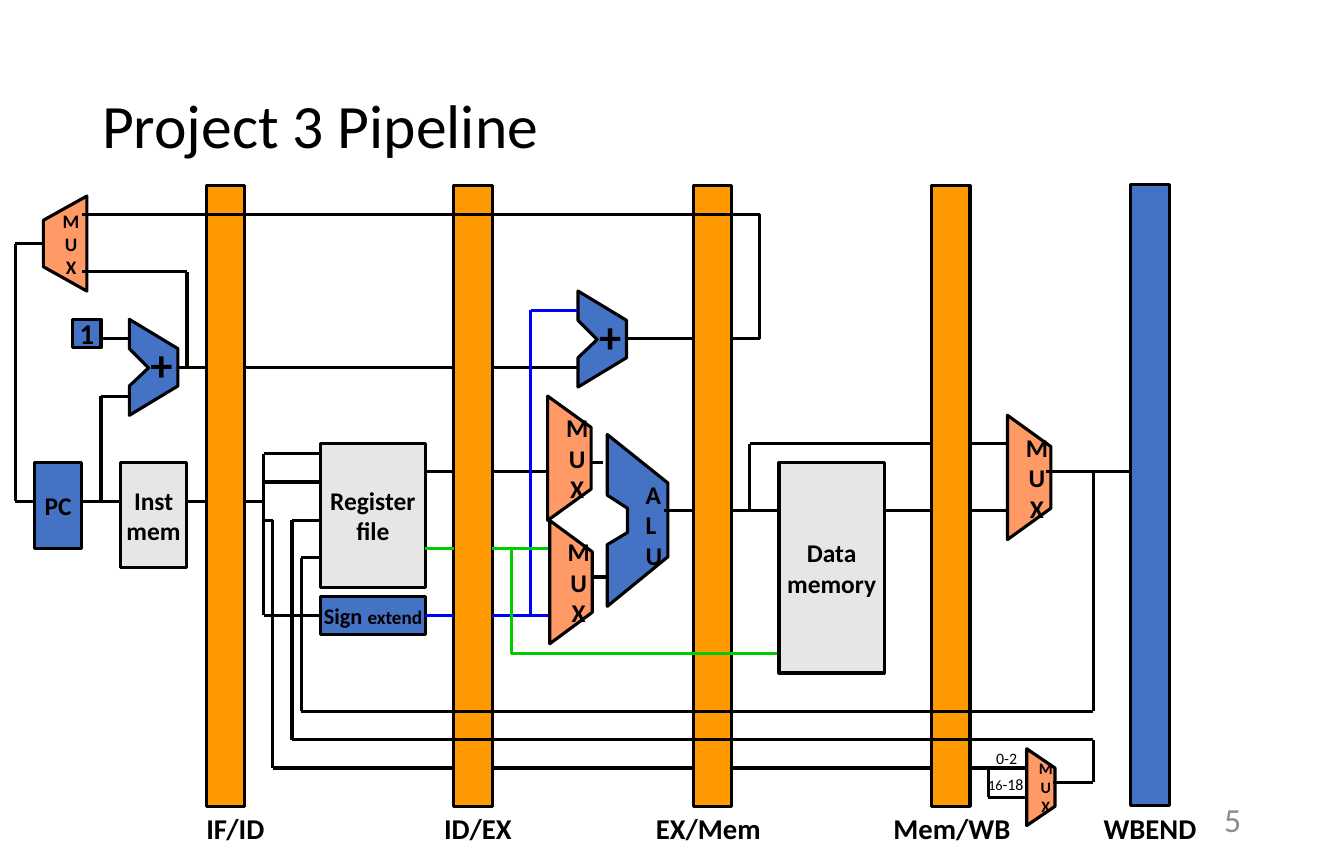
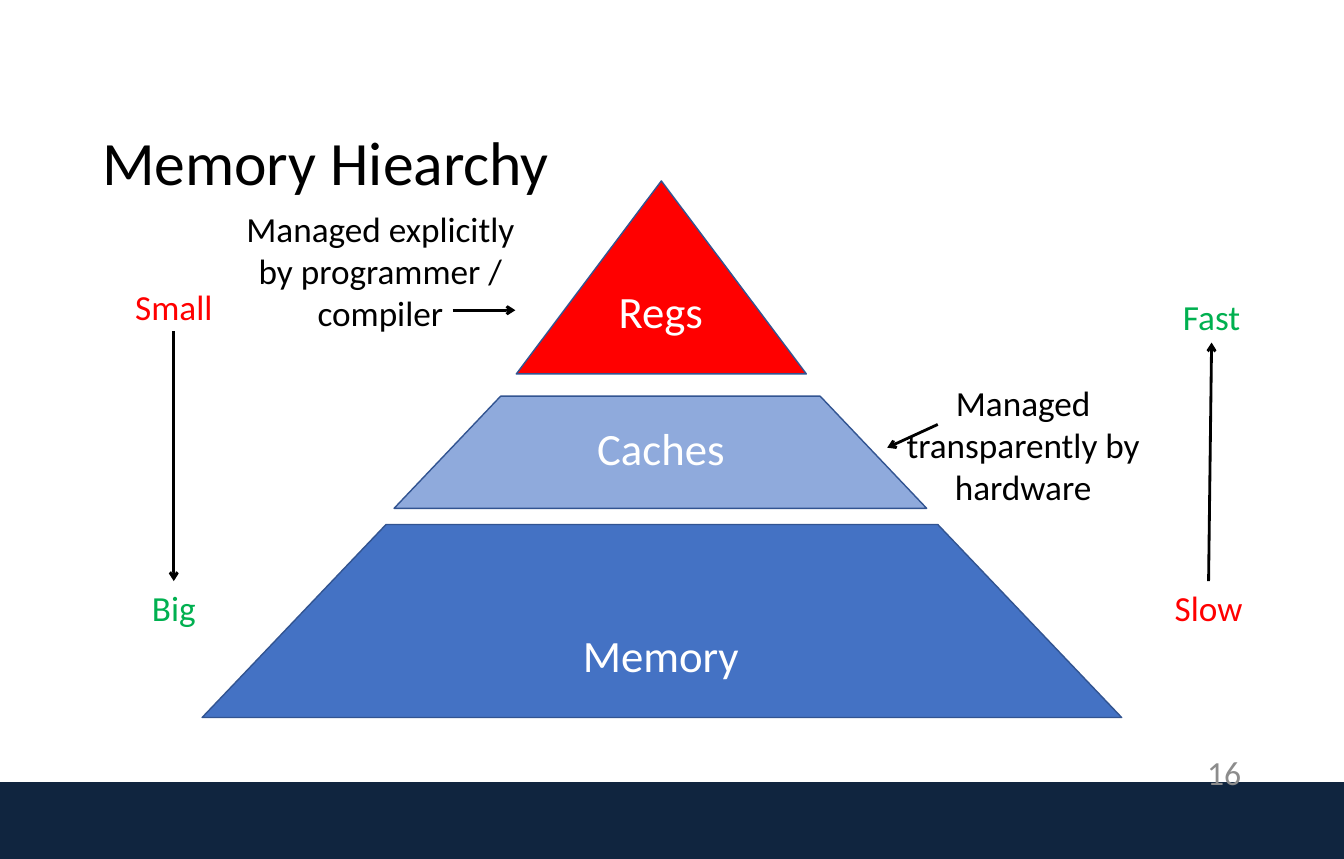
from dataclasses import dataclass
from itertools import pairwise
from typing import Any

from lxml import etree
from pptx import Presentation
from pptx import util as u
from pptx.dml.color import RGBColor
from pptx.enum import shapes, text
from pptx.oxml.ns import qn

PX = 9144  # EMU in one px; 100 px make an inch
FONT = "Calibri"
HUE = {
    "black": "000000", "white": "FFFFFF", "gray": "8C8C8C", "pale": "E7E6E6",
    "blue": "4472C4", "sky": "8FAADC", "rim": "325491", "navy": "10253F",
    "orange": "FF9900", "peach": "FF9966", "red": "FF0000", "green": "00B050",
    "imm": "0000FF", "reg": "00CC00",
}
KIND = shapes.MSO_SHAPE
LEFT, MID, RIGHT = text.PP_ALIGN.LEFT, text.PP_ALIGN.CENTER, text.PP_ALIGN.RIGHT
TOP, HALF = text.MSO_ANCHOR.TOP, text.MSO_ANCHOR.MIDDLE


def px(*vals):
    return [u.Emu(round(v * PX)) for v in vals]


def rgb(name):
    return RGBColor.from_string(HUE[name])


def style(item, **vals):
    for key, val in vals.items():
        setattr(item, key, val)


def write(frame, lines, size, color="black", bold=False, align=MID,
          anchor=HALF, wrap=False, gap=None):
    """Fill a frame; a line is a string or a list of (string, size) runs."""
    style(frame, word_wrap=wrap, vertical_anchor=anchor)
    for i, line in enumerate(lines):
        para = frame.add_paragraph() if i else frame.paragraphs[0]
        style(para, alignment=align, line_spacing=gap)
        for words, pts in [(line, size)] if isinstance(line, str) else line:
            run = para.add_run()
            run.text = words
            style(run.font, name=FONT, size=u.Pt(pts), bold=bold)
            run.font.color.rgb = rgb(color)


def paint(shape, fill, edge="black", width=2.25):
    shape.shadow.inherit = False
    shape.fill.solid()
    shape.fill.fore_color.rgb = rgb(fill)
    if edge:
        shape.line.color.rgb = rgb(edge)
        shape.line.width = u.Pt(width)
    else:
        shape.line.fill.background()
    return shape


@dataclass
class Pane:
    """A region of a slide; every place is counted from its corner."""
    tree: Any
    x: int = 0
    y: int = 0

    def shape(self, kind, box, fill, **edge):
        x, y, w, h = box
        item = self.tree.add_shape(kind, *px(self.x + x, self.y + y, w, h))
        return paint(item, fill, **edge)

    def block(self, box, fill, lines=(), size=18.1):
        item = self.shape(KIND.RECTANGLE, box, fill)
        if lines:
            write(item.text_frame, lines, size, bold=True)
        return item

    def poly(self, pts, fill):
        pts = [(self.x + x, self.y + y) for x, y in pts]
        pen = self.tree.build_freeform(*pts[0], scale=PX)
        pen.add_line_segments(pts[1:], close=True)
        return paint(pen.convert_to_shape(), fill)

    def label(self, box, lines, size, **look):
        x, y, w, h = box
        item = self.tree.add_textbox(*px(self.x + x, self.y + y, w, h))
        write(item.text_frame, lines, size, **look)

    def wire(self, *pts, color="black", width=2.25, arrow=False):
        """Join the points by straight lines and return these."""
        lines = []
        for (a, b), (c, d) in pairwise(pts):
            line = self.tree.add_connector(
                shapes.MSO_CONNECTOR.STRAIGHT,
                *px(self.x + a, self.y + b, self.x + c, self.y + d))
            line.line.color.rgb = rgb(color)
            line.line.width = u.Pt(width)
            if arrow:
                ln = line.line._get_or_add_ln()
                etree.SubElement(ln, qn("a:tailEnd"), type="arrow")
            etree.SubElement(line._element.spPr, qn("a:effectLst"))
            lines.append(line)
        return lines

    def wires(self, *runs, **look):
        for run in runs:
            self.wire(*run, **look)

    def sub(self, x, y):
        return Pane(self.tree, self.x + x, self.y + y)

    def group(self, x, y):
        return Pane(self.tree.add_group_shape().shapes, self.x + x, self.y + y)


def start(deck, title, box, number, low):
    """Add a slide with its title and number."""
    slide = deck.slides.add_slide(deck.slide_layouts[5])
    head = slide.shapes.title
    for key, val in zip(("left", "top", "width", "height"), px(*box)):
        setattr(head, key, val)
    write(head.text_frame, [title], 43.9, align=LEFT, wrap=True, gap=0.9)
    pane = Pane(slide.shapes)
    pane.label((939, low, 299, 42), [number], 24, color="gray", align=RIGHT,
               wrap=True)
    return pane


def mux(pane, box, size, flip=False):
    """A selector with its wide side on the left, or on the right if flipped."""
    x, y, w, h = box
    wide, slim = (x + w, x) if flip else (x, x + w)
    item = pane.poly([(wide, y), (slim, y + h / 4), (slim, y + h * 3 / 4),
                      (wide, y + h)], "peach")
    style(item.text_frame, margin_left=px(size * 0.85)[0], margin_right=0,
          margin_top=0, margin_bottom=0)
    write(item.text_frame, "MUX", size, bold=True)


def adder(pane):
    pane.poly([(0, 0), (48, 29), (48, 66), (0, 95), (0, 66), (19, 48),
               (0, 29)], "blue")
    pane.label((11, 13, 42, 64), "+", 31.7, bold=True, align=LEFT, anchor=TOP)


def alu(pane):
    pane.poly([(0, 0), (60, 48), (60, 121), (0, 170), (0, 109), (20, 97),
               (20, 73), (0, 60)], "blue")
    pane.label((28, 39, 37, 102), "ALU", 18.1, bold=True, align=LEFT,
               anchor=TOP)


def latches(pane):
    """The registers between stages, with the names below."""
    for x, y, fill, name, mid in (
            (204, 0, "orange", "IF/ID", 233),
            (449, 0, "orange", "ID/EX", 473),
            (686, 0, "orange", "EX/Mem", 701),
            (922, 0, "orange", "Mem/WB", 942),
            (1119, -1, "blue", "WBEND", 1138)):
        pane.block((x, y, 38, 614), fill)
        pane.label((mid - 80, 613, 160, 44), [name], 20.4, bold=True,
                   anchor=TOP)


def fetch(pane):
    pane.block((34, 274, 47, 85), "blue", ["PC"])
    pane.block((119, 274, 66, 104), "pale", ["Inst", "mem"])
    pane.block((72, 132, 28, 28), "blue", ["1"], 20.4)
    mux(pane, (43, 10, 43, 94), 13.6, flip=True)
    adder(pane.group(128, 132))
    pane.wires(
        [(185, 312), (204, 312)],
        [(176, 180), (204, 180)],
        [(185, 180), (185, 85), (81, 85)],
        [(100, 151), (128, 151)],
        [(81, 312), (119, 312)],
        [(100, 312), (100, 208), (128, 208)],
        [(34, 312), (15, 312), (15, 57), (43, 57)])


def decode(pane):
    pane.block((75, 255, 104, 142), "pale", ["Register", "file"])
    sign = pane.block((75, 406, 104, 38), "blue",
                      [[("Sign ", 15.9), ("extend", 13.6)]])
    pane.wires(
        [(0, 312), (19, 312)],
        [(19, 293), (75, 293)],
        [(179, 283), (207, 283)],
        [(0, 180), (207, 180)])
    feed = pane.wire((75, 265), (19, 265), (19, 425), (75, 425))
    feed[-1].end_connect(sign, 1)
    send = pane.wire((179, 425), (207, 425), color="imm")
    send[0].begin_connect(sign, 3)
    pane.wire((179, 359), (207, 359), color="reg")


def execute(pane):
    alu(pane.group(114, 246))
    adder(pane.group(85, 104))
    pane.wires(
        [(0, 283), (55, 283)],
        [(0, 180), (85, 180)],
        [(114, 387), (99, 387)],
        [(170, 321), (199, 321)],
        [(132, 151), (199, 151)],
        [(0, 576), (199, 576)])
    pane.wires([(0, 425), (57, 425)], [(38, 425), (38, 123), (85, 123)],
               color="imm")
    pane.wires([(0, 359), (85, 359)], [(19, 359), (19, 463), (284, 463)],
               color="reg")
    mux(pane, (57, 331, 42, 122), 18.1)
    mux(pane, (55, 208, 43, 123), 18.1)
    pane.wire((110, 274), (97, 274))


def memory(pane):
    pane.block((48, 274, 104, 208), "pale", ["Data", "memory"])
    pane.wires(
        [(0, 321), (48, 321)],
        [(19, 321), (19, 255), (199, 255)],
        [(151, 321), (199, 321)],
        [(0, 576), (199, 576)])


def store(pane):
    """The write-back stage."""
    mux(pane, (38, 227, 43, 123), 18.1)
    mux(pane, (57, 557, 28, 76), 11.3)
    pane.wires(
        [(0, 321), (38, 321)],
        [(0, 255), (38, 255)],
        [(76, 283), (160, 283)],
        [(0, 576), (57, 576)],
        [(19, 576), (19, 605), (57, 605)])
    look = {"align": LEFT, "anchor": TOP}
    pane.label((17, 552, 41, 29), ["0-2"], 11.3, **look)
    pane.label((9, 578, 56, 29), [[("16", 10.2), ("-18", 11.3)]], 11.3, **look)


def loops(pane):
    """Wires that run across several stages."""
    pane.wires(
        [(723, 151), (752, 151), (752, 28), (81, 28)],
        [(1082, 283), (1082, 520), (298, 520), (298, 368), (317, 368)],
        [(1042, 590), (1082, 590), (1082, 548), (289, 548), (289, 331),
         (317, 331)],
        [(261, 331), (270, 331), (270, 576), (449, 576)])


def pipeline(deck):
    page = start(deck, "Project 3 Pipeline", (91, 45, 1147, 164), "5", 789)
    for part, x in ((latches, 0), (fetch, 0), (decode, 242), (execute, 487),
                    (memory, 723), (store, 959), (loops, 0)):
        part(page.sub(x, 184))


def pyramid(pane):
    trap = KIND.FLOWCHART_MANUAL_OPERATION
    for kind, box, fill, name, y, turn in (
            (trap, (0, 340, 910, 191), "blue", "Memory", 437, 180),
            (KIND.ISOSCELES_TRIANGLE, (311, 0, 287, 191), "red", "Regs", 97, 0),
            (trap, (190, 213, 527, 111), "sky", "Caches", 232, 180)):
        pane.shape(kind, box, fill, edge="rim", width=1).rotation = turn
        pane.label((310, y, 288, 64), [name], 31.9, color="white", anchor=TOP,
                   wrap=True)


def scale(pane, top, low, ends):
    """Two words, one above the other, and an arrow between them."""
    for (x, y), word, color in (top, low):
        pane.label((x, y, 188, 52), [word], 25.1, color=color, anchor=TOP,
                   wrap=True)
    pane.wire(*ends, width=2, arrow=True)


def note(pane, words, ends):
    pane.label((0, 0, 321, 136), [words], 25.1, anchor=TOP, wrap=True)
    pane.wire(*ends, width=2, arrow=True)


def hierarchy(deck):
    page = start(deck, "Memory Hiearchy", (91, 91, 1147, 145), "16", 743)
    band = page.shape(KIND.RECTANGLE, (0, 774, 1330, 76), "navy", edge=None)
    number = page.tree[1]
    number._element.addprevious(band._element)
    pyramid(page.sub(200, 179))
    scale(page.sub(78, 277), ((0, 0), "Small", "red"),
          ((0, 298), "Big", "green"), [(94, 51), (94, 298)])
    scale(page.sub(1102, 287), ((3, 0), "Fast", "green"),
          ((0, 288), "Slow", "red"), [(94, 288), (97, 52)])
    note(page.sub(216, 200), "Managed explicitly by programmer / compiler",
         [(232, 107), (294, 107)])
    note(page.sub(852, 372), "Managed transparently by hardware",
         [(76, 48), (26, 71)])


def main():
    deck = Presentation()
    deck.slide_width, deck.slide_height = px(1330, 850)
    pipeline(deck)
    hierarchy(deck)
    deck.save("out.pptx")


if __name__ == "__main__":
    main()
